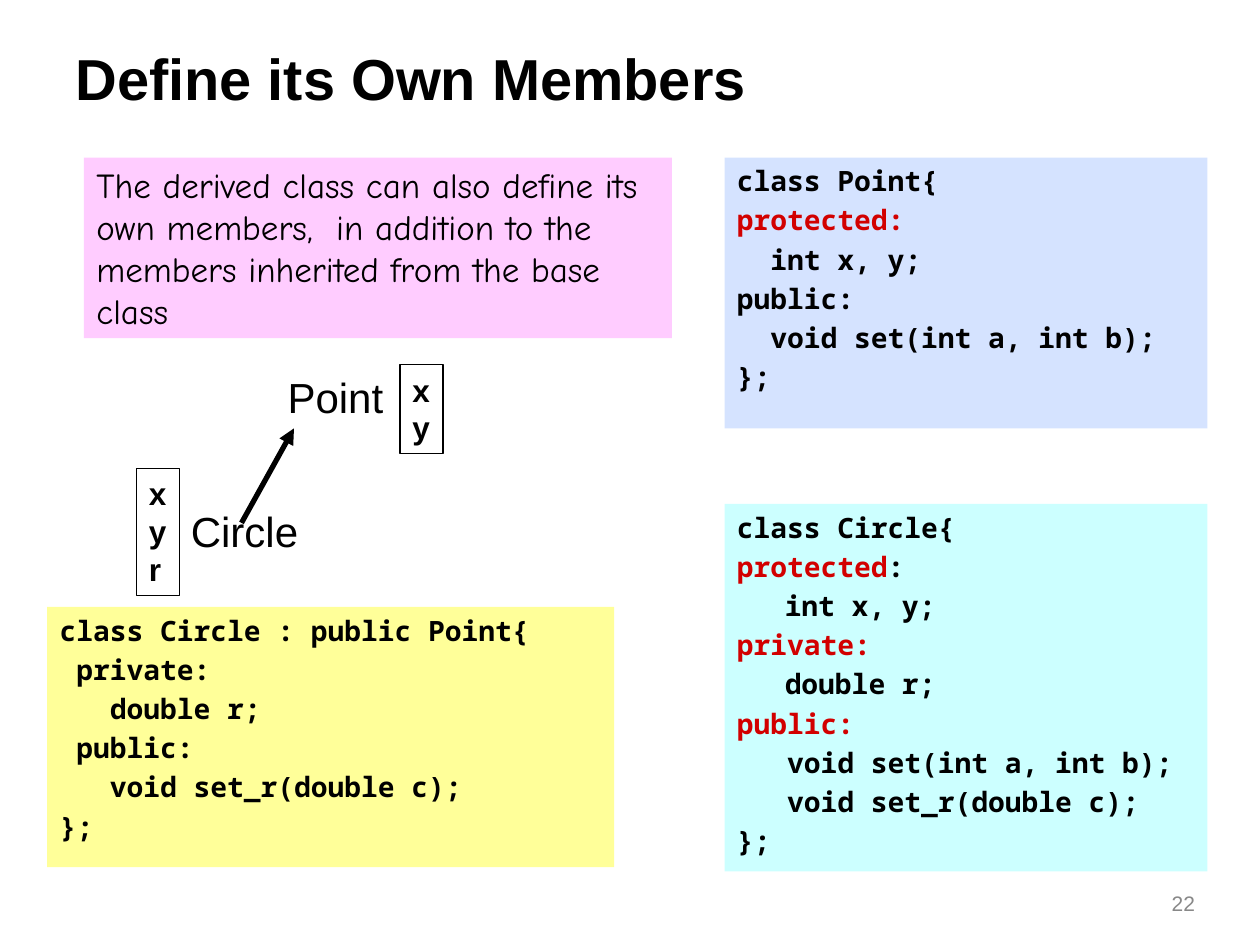
import pptx
import pptx.dml.color
import pptx.enum.shapes
import pptx.enum.text
import pptx.oxml
import pptx.util
import lxml.etree
from dataclasses import dataclass
from typing import NamedTuple, Optional

RGBColor = pptx.dml.color.RGBColor
BLACK = RGBColor(0x00, 0x00, 0x00)
RED = RGBColor(0xD2, 0x00, 0x00)
GRAY = RGBColor(0x88, 0x88, 0x88)
BLUE = RGBColor(0xD5, 0xE3, 0xFF)
YELLOW = RGBColor(0xFF, 0xFF, 0x99)
CYAN = RGBColor(0xCC, 0xFF, 0xFF)
PINK = RGBColor(0xFF, 0xCC, 0xFF)

COLUMNS, ROWS = 120, 90
WIDTH, HEIGHT = pptx.util.Inches(10), pptx.util.Inches(7.5)
HANGING = pptx.util.Inches(0.38)
LEFT = pptx.enum.text.PP_ALIGN.LEFT
RIGHT = pptx.enum.text.PP_ALIGN.RIGHT


class Area(NamedTuple):
    column: float
    row: float
    columns: float
    rows: float


class Line(NamedTuple):
    text: str = ""
    accent: str = ""


class Style(NamedTuple):
    name: str
    size: float
    bold: bool = False
    color: RGBColor = BLACK
    alignment: pptx.enum.text.PP_ALIGN = LEFT
    hanging: bool = False
    wrap: bool = True


TITLE = Style("Arial", 33, bold=True)
NUMBER = Style("Arial", 12, color=GRAY, alignment=RIGHT)
CLASS_NAME = Style("Arial", 24, wrap=False)
MEMBER = Style("Arial", 18, bold=True, wrap=False)
CODE = Style("Noto Sans Mono", 16, bold=True, hanging=True)
STATEMENT = Style("Comic Neue", 20)


@dataclass
class Block:
    area: Area
    style: Style
    lines: list[Line]
    fill: Optional[RGBColor] = None
    outlined: bool = False


BLOCKS = [
    Block(Area(105.4, 84.2, 9.6, 4.2), NUMBER, [Line("22")]),
    Block(Area(26.2, 34.8, 11.6, 6), CLASS_NAME, [Line("Point")]),
    Block(Area(17, 47.6, 12.7, 6), CLASS_NAME, [Line("Circle")]),
    Block(Area(69, 15, 46, 25.8), CODE, [
        Line("class Point{"),
        Line(accent="protected:"),
        Line("  int x, y;"),
        Line("public:"),
        Line("  void set(int a, int b);"),
        Line("};"),
    ], BLUE),
    Block(Area(4.5, 57.8, 54, 24.8), CODE, [
        Line("class Circle : public Point{"),
        Line(" private:"),
        Line("   double r;"),
        Line(" public:"),
        Line("   void set_r(double c);"),
        Line("};"),
    ], YELLOW),
    Block(Area(38.1, 34.7, 4.1, 8.5), MEMBER, [Line("x"), Line("y")], outlined=True),
    Block(Area(13, 44.6, 4.1, 12.1), MEMBER, [Line("x"), Line("y"), Line("r")], outlined=True),
    Block(Area(69, 48, 46, 35), CODE, [
        Line("class Circle{"),
        Line(":", accent="protected"),
        Line("\tint x, y;"),
        Line(accent="private:"),
        Line("\tdouble r;"),
        Line(accent="public:"),
        Line("   void set(int a, int b);"),
        Line("   void set_r(double c);"),
        Line("};"),
    ], CYAN),
    Block(Area(8, 15, 56, 17.2), STATEMENT, [
        Line("The derived class can also define its own members,  in addition "
             "to the members inherited from the base class"),
    ], PINK),
]


def horizontal(columns: float) -> int:
    return round(WIDTH * columns / COLUMNS)


def vertical(rows: float) -> int:
    return round(HEIGHT * rows / ROWS)


def place(area: Area) -> tuple[int, int, int, int]:
    return (horizontal(area.column), vertical(area.row),
            horizontal(area.columns), vertical(area.rows))


def set_attributes(target, values: dict) -> None:
    for name, value in values.items():
        setattr(target, name, value)


def write_run(paragraph, text: str, style: Style, color: RGBColor) -> None:
    run = paragraph.add_run()
    run.text = text
    set_attributes(run.font, {"name": style.name, "size": pptx.util.Pt(style.size),
                              "bold": style.bold})
    run.font.color.rgb = color


def write_lines(shape, lines: list[Line], style: Style, anchor) -> None:
    frame = shape.text_frame
    set_attributes(frame, {"word_wrap": style.wrap, "vertical_anchor": anchor,
                           "auto_size": pptx.enum.text.MSO_AUTO_SIZE.NONE})
    for index, line in enumerate(lines):
        paragraph = frame.add_paragraph() if index else frame.paragraphs[0]
        paragraph.alignment = style.alignment
        if style.hanging:
            properties = paragraph._p.get_or_add_pPr()
            properties.set("marL", str(HANGING))
            properties.set("indent", str(-HANGING))
            if index:
                paragraph.space_before = pptx.util.Pt(3.2)
        for text, color in ((line.accent, RED), (line.text, style.color)):
            if text:
                write_run(paragraph, text, style, color)


def draw_block(slide, block: Block) -> None:
    if block.fill is None and not block.outlined:
        shape = slide.shapes.add_textbox(*place(block.area))
    else:
        shape = slide.shapes.add_shape(
            pptx.enum.shapes.MSO_SHAPE.RECTANGLE, *place(block.area))
        shape.shadow.inherit = False
        if block.fill is None:
            shape.fill.background()
        else:
            shape.fill.solid()
            shape.fill.fore_color.rgb = block.fill
        if block.outlined:
            shape.line.color.rgb = BLACK
            shape.line.width = pptx.util.Pt(0.75)
        else:
            shape.line.fill.background()
    write_lines(shape, block.lines, block.style, pptx.enum.text.MSO_ANCHOR.TOP)


def draw_inheritance_arrow(slide) -> None:
    arrow = slide.shapes.add_connector(
        pptx.enum.shapes.MSO_CONNECTOR.STRAIGHT,
        horizontal(23), vertical(49.8), horizontal(28), vertical(40.8))
    arrow.line.color.rgb = BLACK
    arrow.line.width = pptx.util.Pt(3)
    tip = lxml.etree.SubElement(arrow.line._get_or_add_ln(), pptx.oxml.ns.qn("a:tailEnd"))
    tip.set("type", "triangle")
    lxml.etree.SubElement(arrow._element.spPr, pptx.oxml.ns.qn("a:effectLst"))


def main() -> None:
    presentation = pptx.Presentation()
    set_attributes(presentation, {"slide_width": WIDTH, "slide_height": HEIGHT})
    slide = presentation.slides.add_slide(presentation.slide_layouts[5])
    title = slide.shapes.title
    bounds = place(Area(6, 1.9, 108, 10.9))
    set_attributes(title, dict(zip(("left", "top", "width", "height"), bounds)))
    write_lines(title, [Line("Define its Own Members")], TITLE,
                pptx.enum.text.MSO_ANCHOR.MIDDLE)
    for block in BLOCKS:
        draw_block(slide, block)
    draw_inheritance_arrow(slide)
    presentation.save("out.pptx")


if __name__ == "__main__":
    main()
